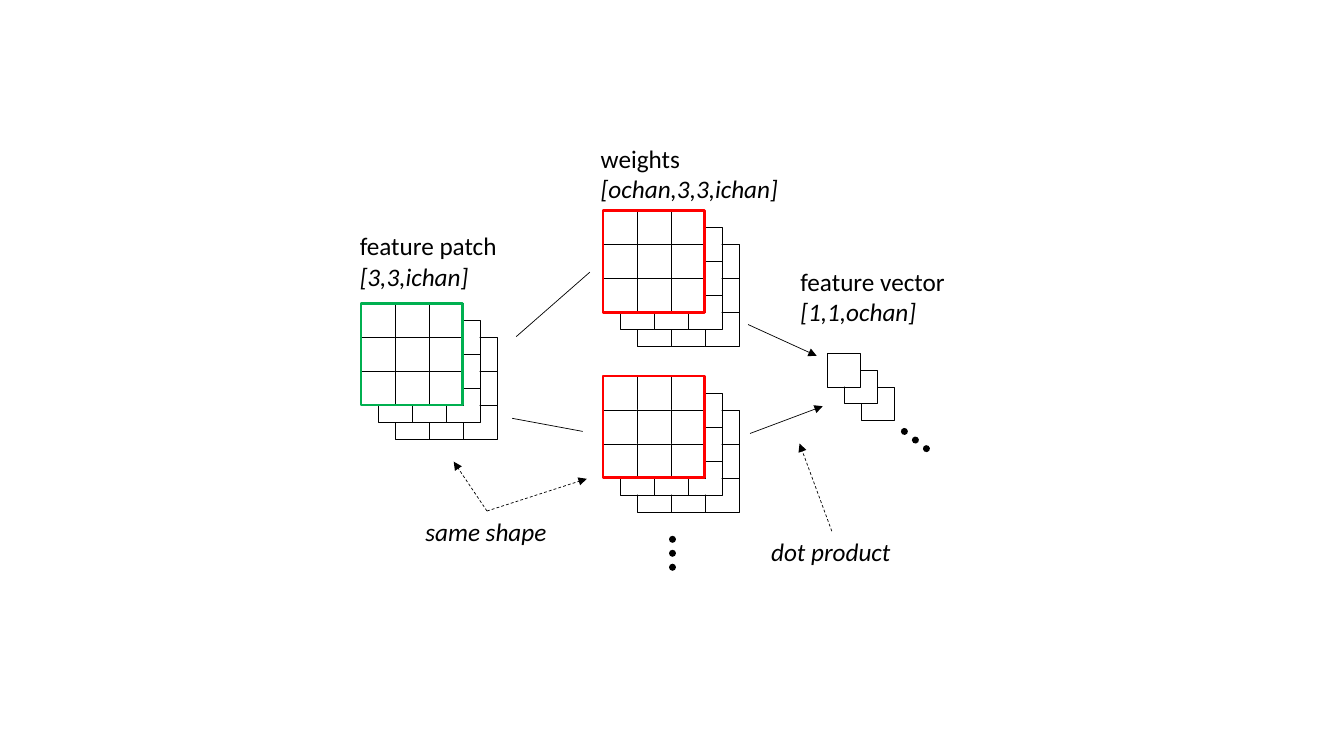
from pptx import Presentation
from pptx import util as u
from pptx.dml.color import RGBColor
from pptx.enum import dml, shapes, text
from pptx.oxml.ns import qn
from lxml import etree

BLACK = RGBColor(0x00, 0x00, 0x00)
WHITE = RGBColor(0xFF, 0xFF, 0xFF)
GREEN = RGBColor(0x00, 0xB0, 0x50)
RED = RGBColor(0xFF, 0x00, 0x00)

GRID = 1.01        # side of a 3 by 3 grid
CELL = GRID / 3    # side of one grid cell
OFFSET = CELL / 2  # shift between stacked channels
DEPTH = 3          # channels shown in each stack


def add_square(parent, left, top, side, color, width, filled=True):
    square = parent.shapes.add_shape(
        shapes.MSO_SHAPE.RECTANGLE,
        u.Inches(left), u.Inches(top), u.Inches(side), u.Inches(side))
    square.shadow.inherit = False
    if filled:
        square.fill.solid()
        square.fill.fore_color.rgb = WHITE
    else:
        square.fill.background()
    square.line.color.rgb = color
    square.line.width = u.Pt(width)


def add_stack(slide, left, top, size):
    """Draw overlapping size-by-size grids, the rearmost channel first."""
    for channel in reversed(range(DEPTH)):
        parent = slide.shapes.add_group_shape() if size > 1 else slide
        shift = channel * OFFSET
        for row in range(size):
            for column in range(size):
                # Behind the front grid only the last row and column show
                if channel and max(row, column) < size - 1:
                    continue
                add_square(parent, left + shift + column * CELL,
                           top + shift + row * CELL, CELL, BLACK, 0.25)


def add_label(slide, left, top, width, height, lines):
    """Write a label from (text, italic) lines."""
    box = slide.shapes.add_textbox(
        u.Inches(left), u.Inches(top), u.Inches(width), u.Inches(height))
    frame = box.text_frame
    frame.word_wrap = False
    frame.auto_size = text.MSO_AUTO_SIZE.SHAPE_TO_FIT_TEXT
    frame.text = "\n".join(words for words, italic in lines)
    for paragraph, (words, italic) in zip(frame.paragraphs, lines):
        paragraph.font.name = "Calibri"
        paragraph.font.size = u.Pt(18)
        paragraph.font.italic = italic
        paragraph.font.color.rgb = BLACK


def add_line(slide, start, end, width=0.5, dash=None, arrow=False):
    line = slide.shapes.add_connector(
        shapes.MSO_CONNECTOR.STRAIGHT,
        *(u.Inches(value) for value in (*start, *end)))
    line.line.color.rgb = BLACK
    line.line.width = u.Pt(width)
    if dash:
        line.line.dash_style = dash
    properties = line._element.spPr
    outline = properties.find(qn("a:ln"))
    if arrow:
        etree.SubElement(outline, qn("a:tailEnd"), type="triangle")
    if dash == dml.MSO_LINE.ROUND_DOT:
        outline.set("cap", "rnd")
    etree.SubElement(properties, qn("a:effectLst"))


def main():
    presentation = Presentation()
    presentation.slide_width = u.Inches(13.33)
    presentation.slide_height = u.Inches(7.5)
    slide = presentation.slides.add_slide(presentation.slide_layouts[6])

    # Feature patch and the two weight stacks, front grids outlined
    for left, top, color in ((3.58, 3.01, GREEN),
                             (5.98, 2.09, RED),
                             (5.98, 3.73, RED)):
        add_stack(slide, left, top, 3)
        add_square(slide, left, top, GRID, color, 1.75, filled=False)

    # Feature vector
    add_stack(slide, 8.2, 3.5, 1)

    # Labels
    add_label(slide, 3.47, 2.24, 1.66, 0.71,
              [("feature patch", False), ("[3,3,ichan]", True)])
    add_label(slide, 5.86, 1.37, 1.98, 0.71,
              [("weights", False), ("[ochan,3,3,ichan]", True)])
    add_label(slide, 7.84, 2.59, 1.65, 0.71,
              [("feature vector", False), ("[1,1,ochan]", True)])
    add_label(slide, 4.12, 5.07, 1.42, 0.4, [("same shape", True)])
    add_label(slide, 7.55, 5.27, 1.4, 0.4, [("dot product", True)])

    # Data flow
    add_line(slide, (5.12, 3.34), (5.85, 2.7))
    add_line(slide, (5.08, 4.15), (5.78, 4.28))
    add_line(slide, (7.42, 3.22), (8.1, 3.53), arrow=True)
    add_line(slide, (7.44, 4.3), (8.16, 4.03), arrow=True)

    # Dashed pointers from the remarks
    for start, end in (((4.83, 5.07), (4.5, 4.58)),
                       ((4.83, 5.07), (5.82, 4.75)),
                       ((8.25, 5.27), (7.93, 4.4))):
        add_line(slide, start, end, dash=dml.MSO_LINE.DASH, arrow=True)

    # Continuation dots
    for start, end in (((6.67, 5.35), (6.67, 5.76)),
                       ((8.97, 4.28), (9.2, 4.46))):
        add_line(slide, start, end, width=5, dash=dml.MSO_LINE.ROUND_DOT)

    presentation.save("out.pptx")


if __name__ == "__main__":
    main()
